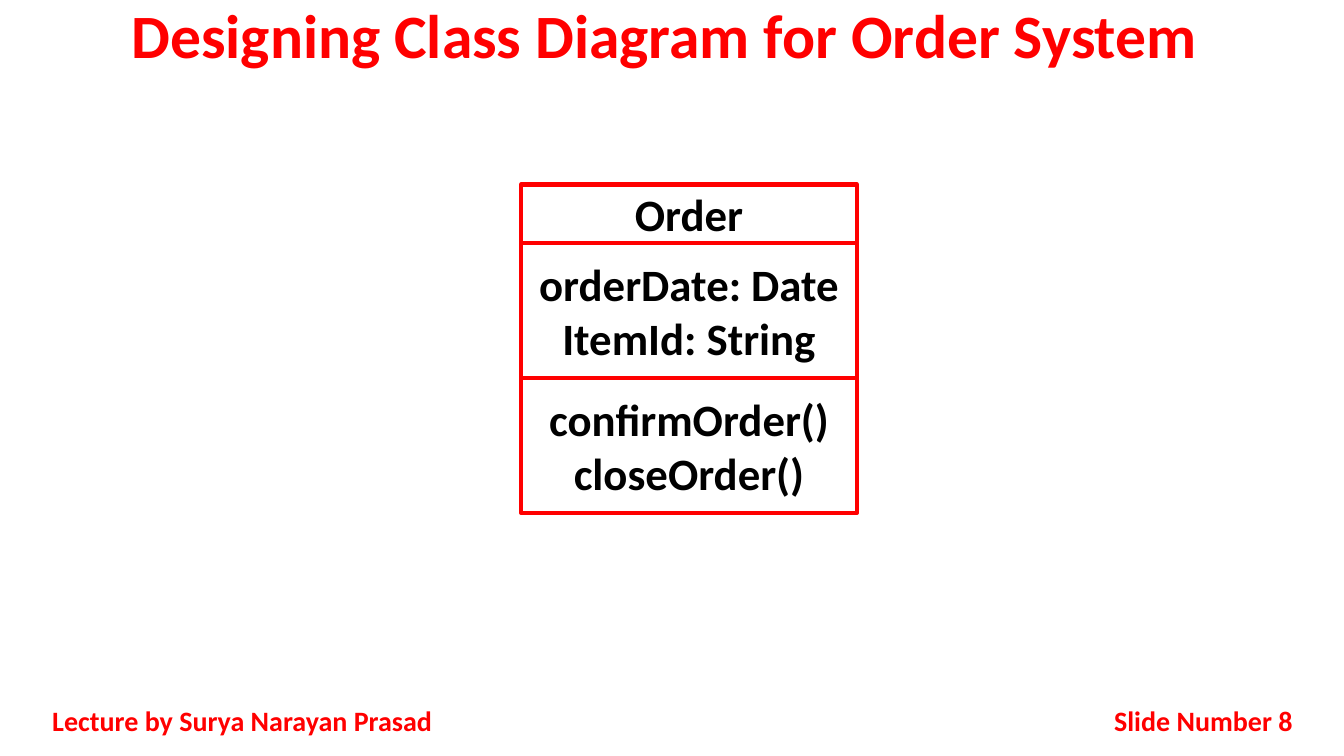
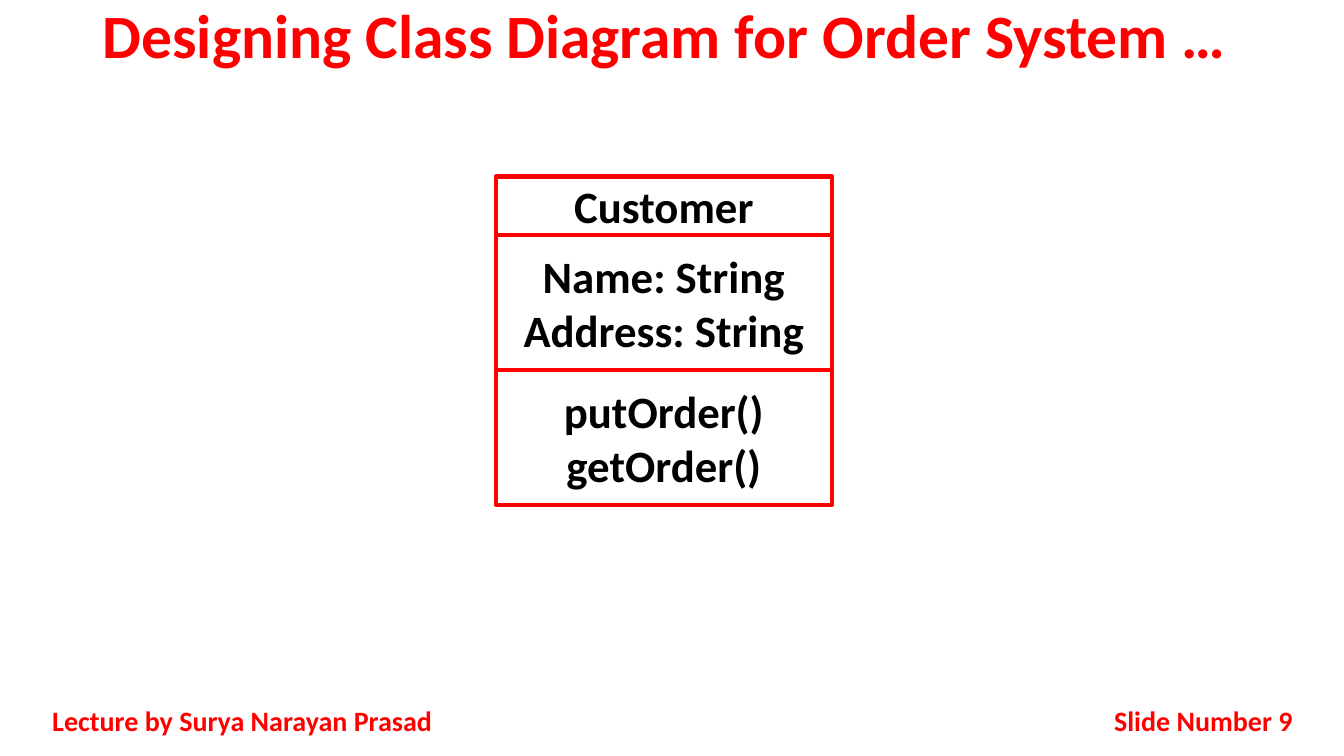
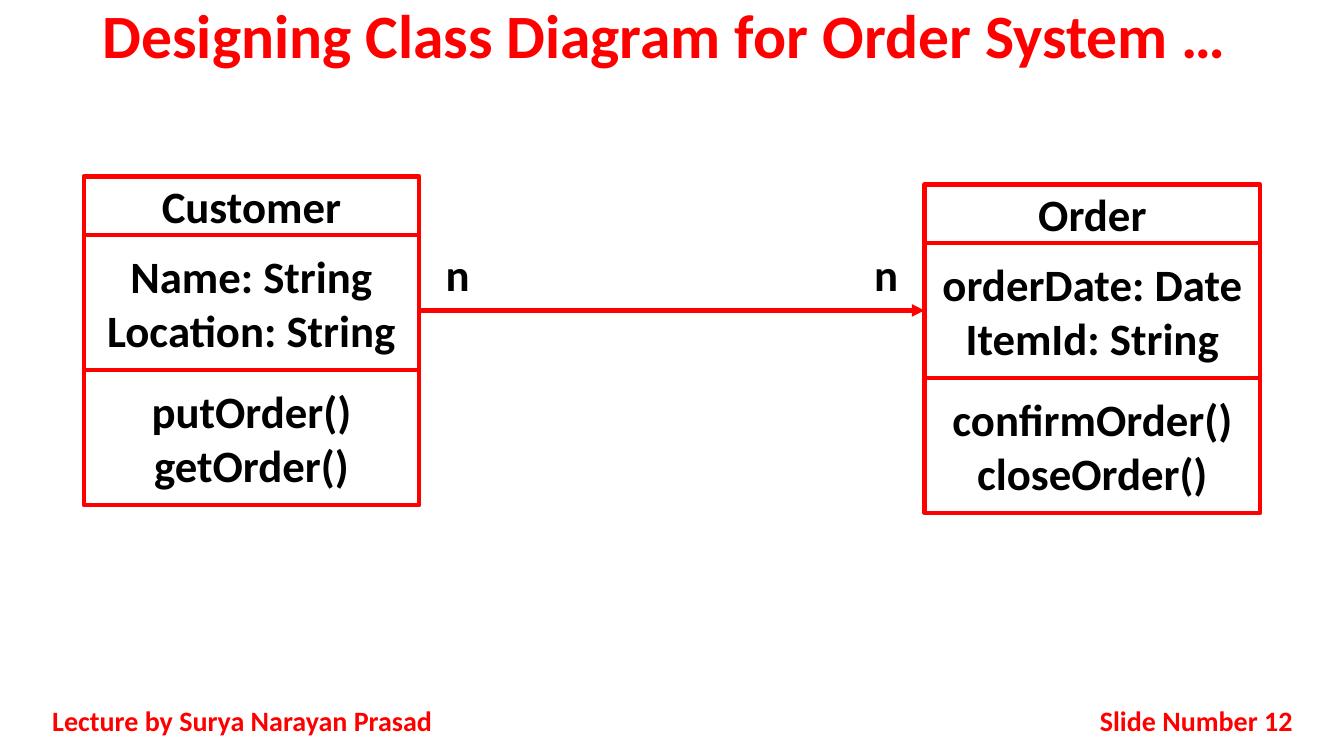
from dataclasses import dataclass

from lxml import etree
from pptx import Presentation
from pptx.dml.color import RGBColor
from pptx.enum import shapes, text
from pptx.oxml.ns import qn
from pptx.util import Inches, Pt


@dataclass(frozen=True)
class Theme:
    font: str = "Calibri"
    accent: RGBColor = RGBColor(0xFF, 0x00, 0x00)
    ink: RGBColor = RGBColor(0x00, 0x00, 0x00)
    title: Pt = Pt(44)
    body: Pt = Pt(32)
    footer: Pt = Pt(20)
    line: Pt = Pt(3)


theme = Theme()
align = text.PP_ALIGN
middle = text.MSO_ANCHOR.MIDDLE


def write(shape, lines, size, color, alignment=align.CENTER, anchor=middle):
    frame = shape.text_frame
    frame.word_wrap = True
    frame.vertical_anchor = anchor
    frame.text = "\n".join(lines)
    for paragraph in frame.paragraphs:
        paragraph.alignment = alignment
        paragraph.font.name = theme.font
        paragraph.font.size = size
        paragraph.font.bold = True
        paragraph.font.color.rgb = color
    return frame


def draw_class(slide, left, top, compartments):
    drawn = []
    for lines, height in zip(compartments, (0.58, 1.34, 1.34)):
        compartment = slide.shapes.add_shape(
            shapes.MSO_SHAPE.RECTANGLE, Inches(left), Inches(top), Inches(3.33), Inches(height))
        compartment.shadow.inherit = False
        compartment.fill.background()
        compartment.line.color.rgb = theme.accent
        compartment.line.width = theme.line
        write(compartment, lines, theme.body, theme.ink)
        drawn.append(compartment)
        top += height
    return drawn


order = (["Order"], ["orderDate: Date", "ItemId: String"], ["confirmOrder()", "closeOrder()"])
customer_methods = ["putOrder()", "getOrder()"]
customer = (["Customer"], ["Name: String", "Address: String"], customer_methods)
located_customer = (["Customer"], ["Name: String", "Location: String"], customer_methods)

heading = "Designing Class Diagram for Order System "
continued = heading + "… "
pages = [
    (heading, 8, [(5.17, 1.83, order)]),
    (continued, 9, [(4.92, 1.75, customer)]),
    (continued, 12, [(0.83, 1.75, located_customer), (9.17, 1.83, order)]),
]

deck = Presentation()
deck.slide_width = Inches(13.33)
deck.slide_height = Inches(7.5)

for title, number, classes in pages:
    slide = deck.slides.add_slide(deck.slide_layouts[6])

    title_box = slide.shapes.add_textbox(0, 0, deck.slide_width, Inches(0.83))
    title_frame = write(title_box, [title], theme.title, theme.accent, anchor=text.MSO_ANCHOR.TOP)
    title_frame.paragraphs[0].line_spacing = 0.9

    for left, width, footer, alignment in (
        (0.42, 4.17, "Lecture by Surya Narayan Prasad", align.JUSTIFY),
        (10.17, 2.75, f"Slide Number {number}", align.RIGHT),
    ):
        footer_box = slide.shapes.add_textbox(Inches(left), Inches(6.95), Inches(width), Inches(0.4))
        write(footer_box, [footer], theme.footer, theme.accent, alignment)

    attributes = [draw_class(slide, *placed)[1] for placed in classes]

    if len(attributes) == 2:
        source, target = attributes
        link_y = target.top + target.height // 2
        association = slide.shapes.add_connector(
            shapes.MSO_CONNECTOR.STRAIGHT, source.left + source.width, link_y, target.left, link_y)
        association.end_connect(target, 1)
        association.line.color.rgb = theme.accent
        association.line.width = theme.line
        etree.SubElement(association.line._get_or_add_ln(), qn("a:tailEnd"), type="triangle")
        etree.SubElement(association._element.spPr, qn("a:effectLst"))

        for left in (4.25, 8.5):
            multiplicity = slide.shapes.add_textbox(
                Inches(left), Inches(2.42), Inches(0.58), Inches(0.58))
            write(multiplicity, ["n"], theme.body, theme.ink)

deck.save("out.pptx")
